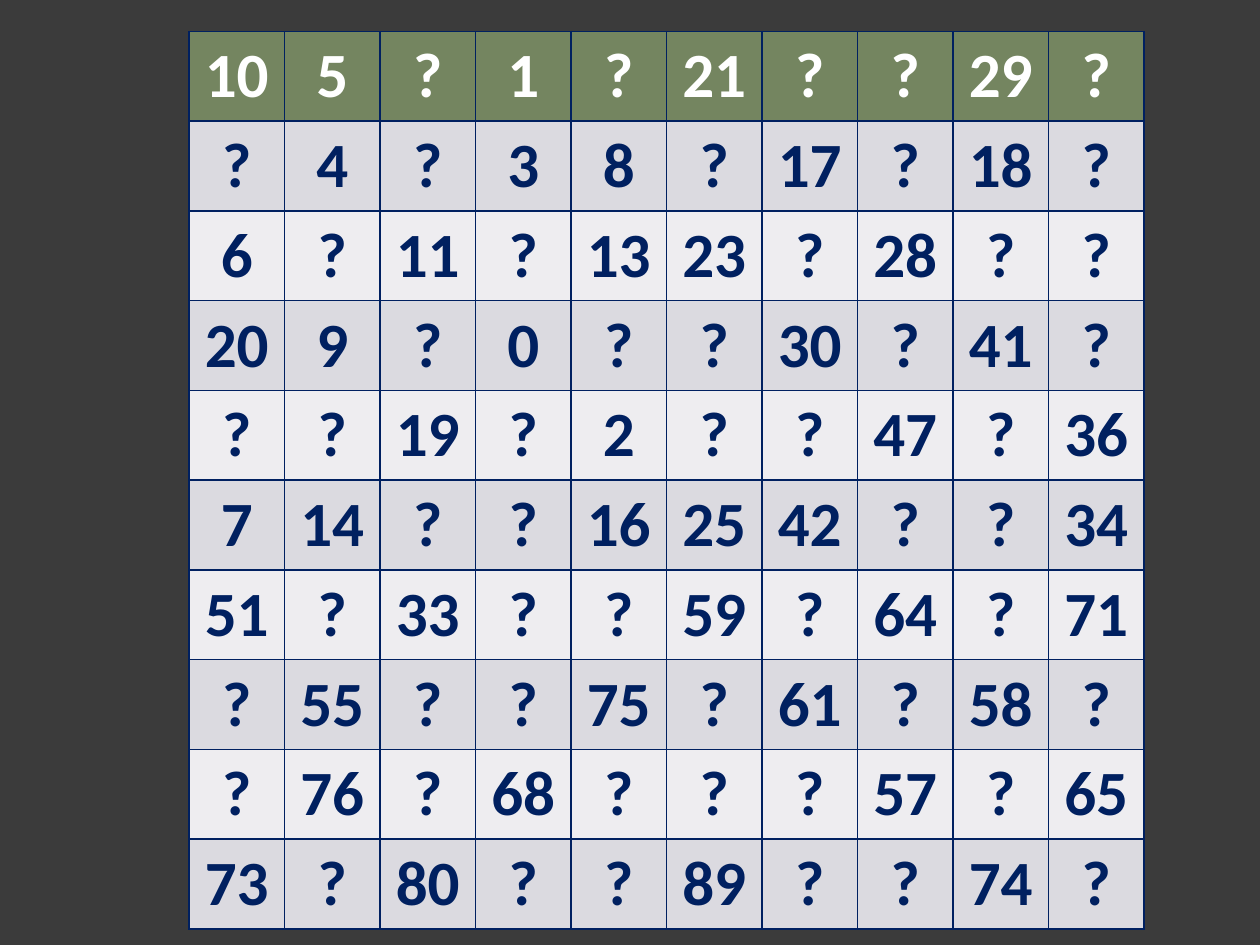
from dataclasses import dataclass

from lxml import etree
from pptx import Presentation
from pptx import util as u
from pptx.dml.color import RGBColor
from pptx.enum import text
from pptx.oxml import ns


@dataclass(frozen=True)
class Theme:
    """Colours and type of the number grid."""
    background: str = "3B3B3B"
    header: str = "748560"
    bands: tuple = ("DBDAE0", "EEEDF0")
    ink: str = "002060"
    header_ink: str = "FFFFFF"
    font: str = "Calibri"
    size: int = 36
    border: int = 1


THEME = Theme()
SLIDE_WIDTH, SLIDE_HEIGHT = u.Inches(10), u.Inches(7.5)
GRID_LEFT, GRID_TOP = u.Inches(1.5), u.Inches(0.25)
COLUMN_WIDTH, ROW_HEIGHT = u.Inches(7.58 / 10), u.Inches(0.7)

NUMBERS = [row.split() for row in (
    "10 5 ? 1 ? 21 ? ? 29 ?",
    "? 4 ? 3 8 ? 17 ? 18 ?",
    "6 ? 11 ? 13 23 ? 28 ? ?",
    "20 9 ? 0 ? ? 30 ? 41 ?",
    "? ? 19 ? 2 ? ? 47 ? 36",
    "7 14 ? ? 16 25 42 ? ? 34",
    "51 ? 33 ? ? 59 ? 64 ? 71",
    "? 55 ? ? 75 ? 61 ? 58 ?",
    "? 76 ? 68 ? ? ? 57 ? 65",
    "73 ? 80 ? ? 89 ? ? 74 ?",
)]


def paint(fill, colour):
    """Give a fill one solid colour."""
    fill.solid()
    fill.fore_color.rgb = RGBColor.from_string(colour)


def add_borders(cell):
    """Draw the four sides of a cell."""
    properties = cell._tc.get_or_add_tcPr()
    for side in ("lnL", "lnR", "lnT", "lnB"):
        line = etree.SubElement(properties, ns.qn(f"a:{side}"), w=str(u.Pt(THEME.border)))
        solid = etree.SubElement(line, ns.qn("a:solidFill"))
        etree.SubElement(solid, ns.qn("a:srgbClr"), val=THEME.ink)


def write_cell(cell, value, fill, ink):
    """Write one centred bold value in a bordered, filled cell."""
    add_borders(cell)
    paint(cell.fill, fill)
    paragraph = cell.text_frame.paragraphs[0]
    paragraph.alignment = text.PP_ALIGN.CENTER
    run = paragraph.add_run()
    run.text = value
    formats = {"name": THEME.font, "size": u.Pt(THEME.size), "bold": True}
    for name, setting in formats.items():
        setattr(run.font, name, setting)
    run.font.color.rgb = RGBColor.from_string(ink)


def row_colours(row):
    """Return the fill and text colour of a row."""
    if row == 0:
        return THEME.header, THEME.header_ink
    return THEME.bands[(row - 1) % 2], THEME.ink


def add_number_grid(slide, numbers):
    """Add the table of numbers with equal columns and rows."""
    rows, columns = len(numbers), len(numbers[0])
    table = slide.shapes.add_table(
        rows, columns, GRID_LEFT, GRID_TOP, COLUMN_WIDTH * columns, ROW_HEIGHT * rows
    ).table
    for row, values in enumerate(numbers):
        for column, value in enumerate(values):
            write_cell(table.cell(row, column), value, *row_colours(row))


def main():
    """Build and save the slide."""
    presentation = Presentation()
    presentation.slide_width, presentation.slide_height = SLIDE_WIDTH, SLIDE_HEIGHT
    slide = presentation.slides.add_slide(presentation.slide_layouts[6])
    paint(slide.background.fill, THEME.background)
    add_number_grid(slide, NUMBERS)
    presentation.save("out.pptx")


main()
